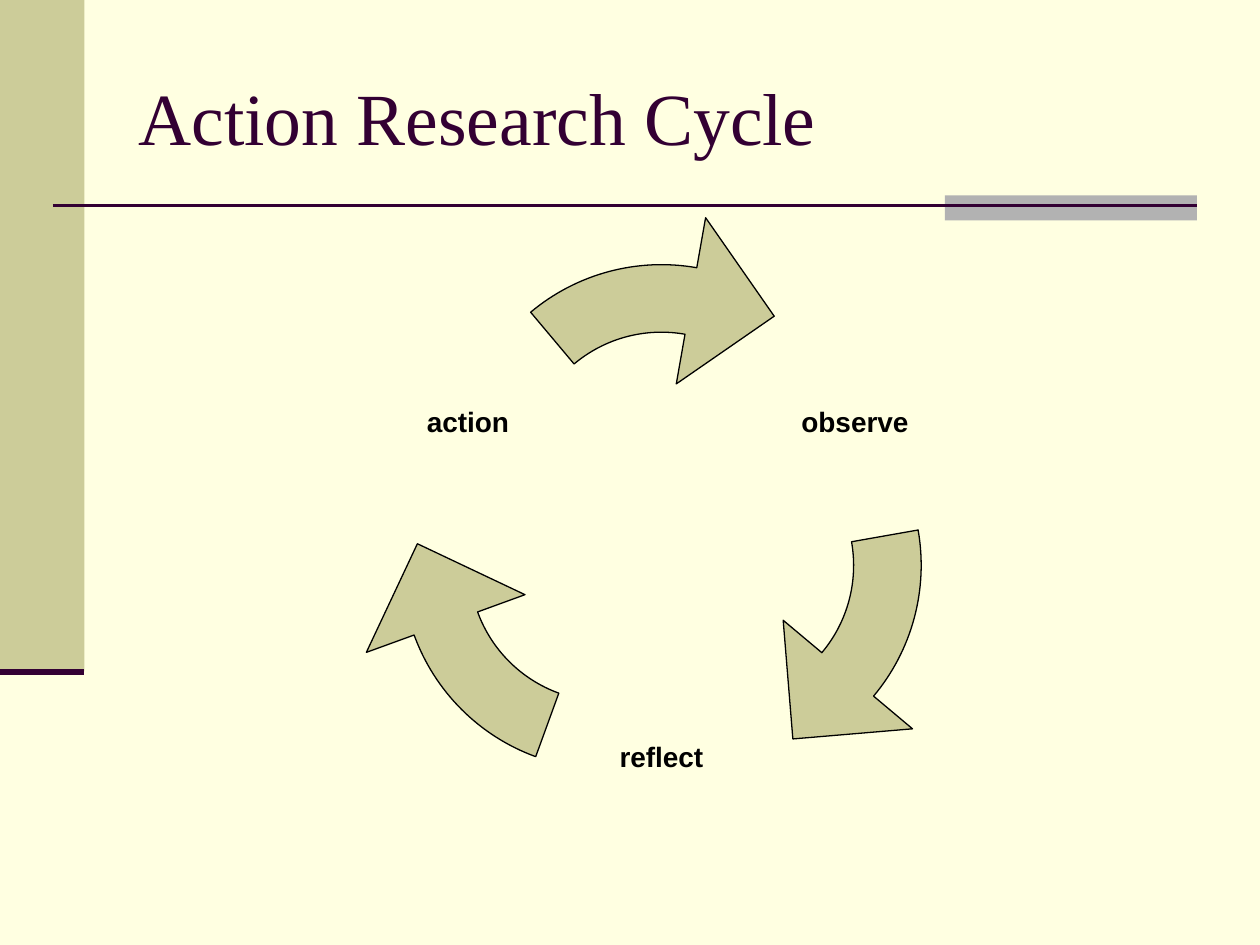
from math import cos, radians, sin, tan

from lxml.etree import SubElement
from pptx import Presentation
from pptx.dml.color import RGBColor
from pptx.enum.shapes import MSO_CONNECTOR as Connector, MSO_SHAPE as Shape
from pptx.enum.text import MSO_ANCHOR as Anchor, PP_ALIGN as Align
from pptx.oxml.ns import qn
from pptx.util import Inches, Pt

CREAM, KHAKI, GREY, PLUM, BLACK = "FFFFE1", "CCCC99", "B2B2B2", "330033", "000000"
COL = ROW = Inches(1)  # the slide is a grid of 10 columns by 7.5 rows
STEPS = ("observe", "reflect", "action")


def colour(hex_code):
    return RGBColor.from_string(hex_code)


def paint(shape, fill):
    shape.shadow.inherit = False
    shape.fill.solid()
    shape.fill.fore_color.rgb = colour(fill)


def write(frame, text, font, size, ink, align, bold=False):
    frame.word_wrap = True
    frame.vertical_anchor = Anchor.MIDDLE
    paragraph = frame.paragraphs[0]
    paragraph.alignment = align
    run = paragraph.add_run()
    run.text = text
    run.font.name, run.font.size, run.font.bold = font, Pt(size), bold
    run.font.color.rgb = colour(ink)


def add_block(slide, left, top, width, height, fill):
    block = slide.shapes.add_shape(Shape.RECTANGLE, int(left), int(top), int(width), int(height))
    paint(block, fill)
    block.line.fill.background()


def add_rule(slide, left, right, y, weight):
    rule = slide.shapes.add_connector(Connector.STRAIGHT, int(left), int(y), int(right), int(y))
    rule.line.color.rgb = colour(PLUM)
    rule.line.width = Pt(weight)
    SubElement(rule._element.spPr, qn("a:effectLst"))


def add_side_band(slide, left, top, width, height):
    add_block(slide, left, top, width, height, KHAKI)
    add_rule(slide, left, left + width, top + height, 3.5)


def add_heading(slide, left, top, width, height):
    # Grey tab and rule along the lower edge of the heading
    bottom, right = top + height, left + width
    add_block(slide, right - 2 * COL, bottom, 2 * COL, 0.2 * ROW, GREY)
    add_rule(slide, 0.42 * COL, right, bottom + 0.08 * ROW, 1.5)
    title = slide.shapes.title
    title.left, title.top, title.width, title.height = map(int, (left, top, width, height))
    write(title.text_frame, "Action Research Cycle", "Times New Roman", 42, PLUM, Align.LEFT)


def polar(centre, radius, angle):
    x, y = centre
    return x + radius * cos(radians(angle)), y + radius * sin(radians(angle))


def arc(centre, radius, start, end):
    """Two control points and the end point of a Bezier arc."""
    reach = radius * 4 / 3 * tan(radians(end - start) / 4)
    end_point = polar(centre, radius, end)
    return [polar(polar(centre, radius, start), reach, start + 90),
            polar(end_point, reach, end - 90), end_point]


def add_cycle_arrow(slide, centre, radius, turn):
    """Curved arrow in the square around its circle, turned about the centre."""
    x, y = centre
    side = int(2 * radius)
    left, top = int(x - radius), int(y - radius)
    builder = slide.shapes.build_freeform(left, top)
    builder.add_line_segments([(left + side, top), (left + side, top + side), (left, top + side)])
    arrow = builder.convert_to_shape()

    # Redraw the square's outline as an arrow: band of 50 degrees, then head
    hub, inner = (radius, radius), 0.668 * radius
    start, neck, tip = -130, -80, -53.4
    outline = [
        ("moveTo", [polar(hub, inner, neck)]),
        ("cubicBezTo", arc(hub, inner, neck, start)),
        ("lnTo", [polar(hub, radius, start)]),
        ("cubicBezTo", arc(hub, radius, start, neck)),
        ("lnTo", [polar(hub, 1.25 * radius, neck)]),
        ("lnTo", [polar(hub, 0.93 * radius, tip)]),
        ("lnTo", [polar(hub, 0.42 * radius, neck)]),
        ("close", []),
    ]
    track = next(arrow._element.iter(qn("a:path")))
    for old in list(track):
        track.remove(old)
    for command, points in outline:
        segment = SubElement(track, qn(f"a:{command}"))
        for px, py in points:
            SubElement(segment, qn("a:pt"), x=str(int(px)), y=str(int(py)))

    arrow.rotation = turn
    paint(arrow, KHAKI)
    arrow.line.color.rgb = colour(BLACK)
    arrow.line.width = Pt(0.75)


def add_step_label(slide, centre, side, text):
    x, y = centre
    label = slide.shapes.add_textbox(int(x - side / 2), int(y - side / 2), int(side), int(side))
    frame = label.text_frame
    frame.margin_left = frame.margin_right = frame.margin_top = frame.margin_bottom = 0
    write(frame, text, "Arial", 16, BLACK, Align.CENTER, bold=True)


def add_cycle(slide, left, top, side):
    """Arrows and labels, spread evenly around the middle of a square box."""
    middle = left + side / 2, top + side / 2
    turns = [index * 360 / len(STEPS) for index in range(len(STEPS))]
    for turn in turns:
        add_cycle_arrow(slide, polar(middle, 0.11 * side, turn - 90), 0.345 * side, turn)
    for turn, text in zip(turns, STEPS):
        add_step_label(slide, polar(middle, 0.379 * side, turn - 30), 0.28 * side, text)


def main():
    deck = Presentation()
    deck.slide_width, deck.slide_height = int(10 * COL), int(7.5 * ROW)
    slide = deck.slides.add_slide(deck.slide_layouts[5])
    slide.background.fill.solid()
    slide.background.fill.fore_color.rgb = colour(CREAM)

    add_side_band(slide, 0, 0, 0.67 * COL, 5.33 * ROW)
    add_heading(slide, COL, 0.3 * ROW, 8.5 * COL, 1.25 * ROW)
    add_cycle(slide, 2.91 * COL, 1.89 * ROW, 4.68 * COL)
    deck.save("out.pptx")


if __name__ == "__main__":
    main()
